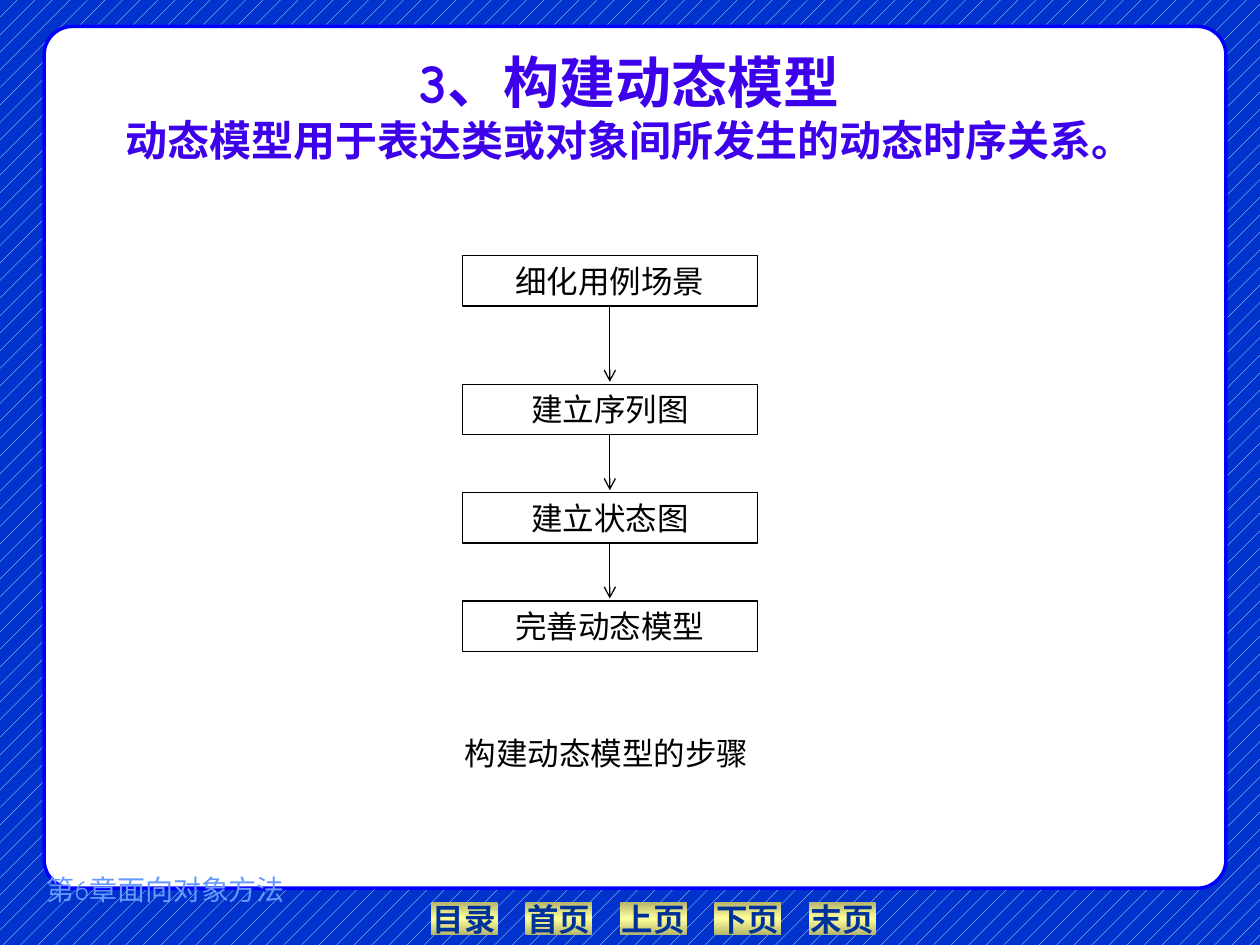
from dataclasses import dataclass
from itertools import pairwise

from lxml.etree import SubElement
from pptx import Presentation
from pptx.dml.color import RGBColor
from pptx.enum.dml import MSO_PATTERN
from pptx.enum.shapes import MSO_CONNECTOR, MSO_SHAPE
from pptx.enum.text import MSO_ANCHOR, PP_ALIGN
from pptx.oxml.ns import qn
from pptx.util import Inches, Pt

COLUMN = Inches(10) / 100
ROW = Inches(7.5) / 75


@dataclass(frozen=True)
class Area:
    column: float
    row: float
    columns: float
    rows: float

    def lengths(self) -> tuple[int, ...]:
        return (round(self.column * COLUMN), round(self.row * ROW),
                round(self.columns * COLUMN), round(self.rows * ROW))


@dataclass(frozen=True)
class Style:
    size: float
    font: str
    color: str
    bold: bool = False


@dataclass(frozen=True)
class Step:
    label: str
    row: float


BUTTON_STYLE = Style(18, "Times New Roman", "003399", True)
TITLE_STYLE = Style(32, "Comic Neue", "3D00EA", True)
SUBTITLE_STYLE = Style(24, "Comic Neue", "3D00EA", True)
CHAPTER_STYLE = Style(16, "Comic Neue", "6699FF")
BODY_STYLE = Style(18, "Arial", "000000")

BUTTONS = ["目录", "首页", "上页", "下页", "末页"]
BUTTON_STOPS = [(0, "B6B66D"), (50, "FFFF99"), (100, "B6B66D")]
STEPS = [Step("细化用例场景", 20.3), Step("建立序列图", 30.5),
         Step("建立状态图", 39.1), Step("完善动态模型", 47.7)]
STEP_COLUMN, STEP_COLUMNS, STEP_ROWS = 36.7, 23.4, 4


def color(value: str) -> RGBColor:
    return RGBColor.from_string(value)


def add_span(para, text: str, style: Style) -> None:
    span = para.add_run()
    span.text = text
    span.font.size = Pt(style.size)
    span.font.name = style.font
    span.font.bold = style.bold
    span.font.color.rgb = color(style.color)


def add_text(page, area: Area, spans: list[tuple[str, Style]],
             align=PP_ALIGN.LEFT, anchor=MSO_ANCHOR.TOP):
    frame = page.shapes.add_textbox(*area.lengths()).text_frame
    frame.word_wrap = True
    frame.vertical_anchor = anchor
    para = frame.paragraphs[0]
    para.alignment = align
    for index, (text, style) in enumerate(spans):
        if index:
            para.add_line_break()
        add_span(para, text, style)
    return frame


def add_box(page, kind, area: Area):
    box = page.shapes.add_shape(kind, *area.lengths())
    box.shadow.inherit = False
    box.fill.background()
    box.line.fill.background()
    return box


def set_outline(line, value: str, width: float) -> None:
    line.color.rgb = color(value)
    line.width = Pt(width)


def add_label(box, text: str, style: Style, anchor) -> None:
    box.text_frame.vertical_anchor = anchor
    para = box.text_frame.paragraphs[0]
    para.alignment = PP_ALIGN.CENTER
    add_span(para, text, style)


def set_gradient(box, stops: list[tuple[int, str]]) -> None:
    box.fill.gradient()
    gradient = box.fill._fill._gradFill
    stop_list = gradient.find(qn("a:gsLst"))
    for stop in list(stop_list):
        stop_list.remove(stop)
    for position, value in stops:
        stop = SubElement(stop_list, qn("a:gs"), pos=str(position * 1000))
        SubElement(stop, qn("a:srgbClr"), val=value)
    gradient.find(qn("a:lin")).set("ang", "5400000")


def add_button(page, index: int, text: str) -> None:
    area = Area(34.2 + 7.5 * index, 71.6, 5.3, 2.6)
    box = add_box(page, MSO_SHAPE.ACTION_BUTTON_CUSTOM, area)
    set_gradient(box, BUTTON_STOPS)
    add_label(box, text, BUTTON_STYLE, MSO_ANCHOR.MIDDLE)
    box.text_frame.word_wrap = False


def add_panel(page) -> None:
    panel = add_box(page, MSO_SHAPE.ROUNDED_RECTANGLE, Area(3.5, 2.1, 93.8, 68.4))
    panel.adjustments[0] = 0.033
    panel.fill.solid()
    panel.fill.fore_color.rgb = color("FFFFFF")
    set_outline(panel.line, "0000FF", 2)


def add_step(page, step: Step) -> None:
    area = Area(STEP_COLUMN, step.row, STEP_COLUMNS, STEP_ROWS)
    box = add_box(page, MSO_SHAPE.RECTANGLE, area)
    set_outline(box.line, "000000", 0.75)
    add_label(box, step.label, BODY_STYLE, MSO_ANCHOR.TOP)


def add_arrow(page, upper: Step, lower: Step) -> None:
    center = round((STEP_COLUMN + STEP_COLUMNS / 2) * COLUMN)
    start = round((upper.row + STEP_ROWS) * ROW)
    end = round((lower.row - 0.2) * ROW)
    arrow = page.shapes.add_connector(MSO_CONNECTOR.STRAIGHT, center, start, center, end)
    set_outline(arrow.line, "000000", 0.75)
    properties = arrow._element.spPr
    SubElement(properties.find(qn("a:ln")), qn("a:tailEnd"), type="arrow")
    SubElement(properties, qn("a:effectLst"))


def main() -> None:
    deck = Presentation()
    deck.slide_width, deck.slide_height = Inches(10), Inches(7.5)
    page = deck.slides.add_slide(deck.slide_layouts[6])
    backdrop = page.background.fill
    backdrop.patterned()
    backdrop.pattern = MSO_PATTERN.PERCENT_5
    backdrop.fore_color.rgb = color("FFFFFF")
    backdrop.back_color.rgb = color("0033CC")

    for index, text in enumerate(BUTTONS):
        add_button(page, index, text)
    add_panel(page)
    title = add_text(page, Area(5, 3, 90, 14.1),
                     [("3、构建动态模型", TITLE_STYLE),
                      ("动态模型用于表达类或对象间所发生的动态时序关系。", SUBTITLE_STYLE)],
                     PP_ALIGN.CENTER, MSO_ANCHOR.BOTTOM)
    title.margin_bottom = round(4 * ROW)
    add_text(page, Area(2.7, 67.4, 31.5, 5), [("第6章面向对象方法", CHAPTER_STYLE)],
             anchor=MSO_ANCHOR.BOTTOM)
    for step in STEPS:
        add_step(page, step)
    for upper, lower in pairwise(STEPS):
        add_arrow(page, upper, lower)
    add_text(page, Area(35.9, 57.8, 28.1, 4), [("构建动态模型的步骤", BODY_STYLE)])
    deck.save("out.pptx")


if __name__ == "__main__":
    main()
